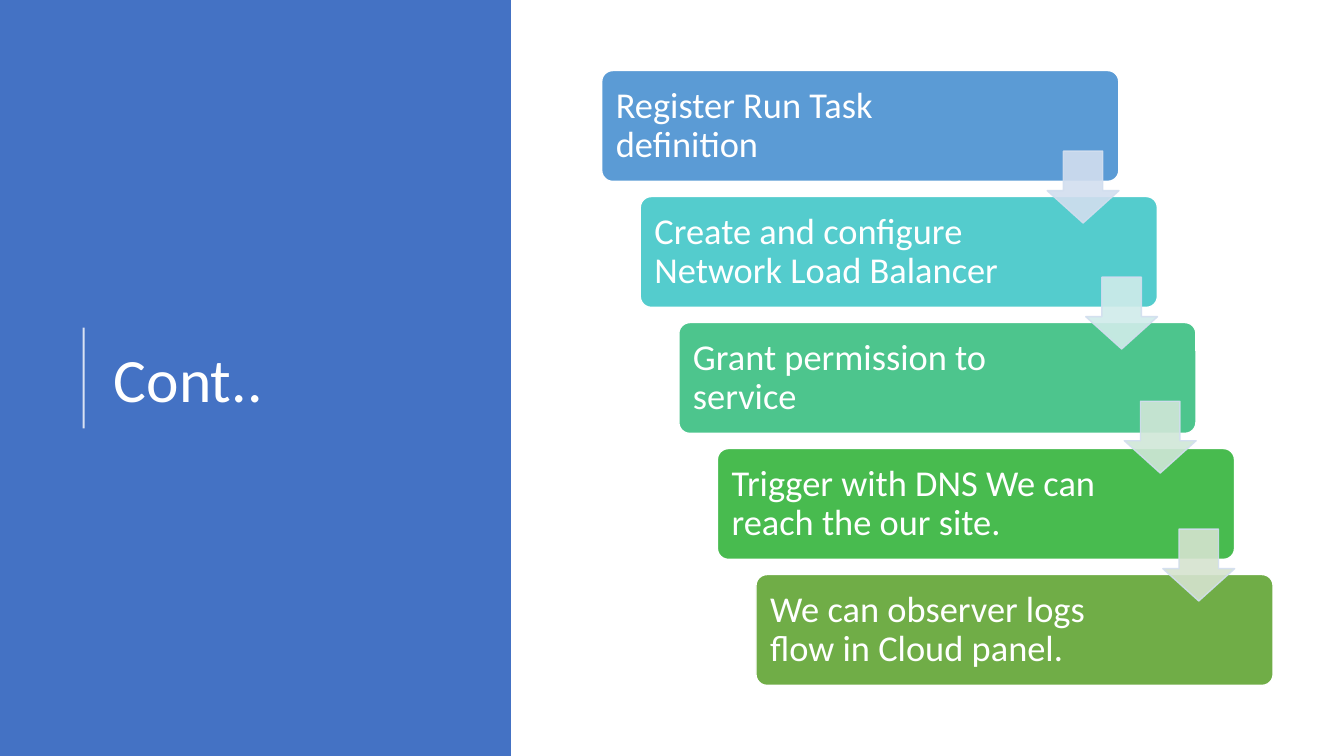
from lxml import etree
from pptx import Presentation
from pptx.dml.color import RGBColor
from pptx.enum.shapes import MSO_CONNECTOR, MSO_SHAPE
from pptx.enum.text import MSO_ANCHOR
from pptx.oxml.ns import qn
from pptx.util import Pt

RECTANGLE = MSO_SHAPE.RECTANGLE
ROUNDED = MSO_SHAPE.ROUNDED_RECTANGLE
DOWN_ARROW = MSO_SHAPE.DOWN_ARROW
STRAIGHT = MSO_CONNECTOR.STRAIGHT
MIDDLE = MSO_ANCHOR.MIDDLE

WHITE = "FFFFFF"
BLUE = "4472C4"
ARROW_LINE = "D2DEEF"

STEPS = [
    ("Register Run Task definition", "5B9BD5"),
    ("Create and configure Network Load Balancer", "54CCCD"),
    ("Grant permission to service", "4DC58D"),
    ("Trigger with DNS We can reach the our site.", "48BB4F"),
    ("We can observer logs flow in Cloud panel.", "70AD47"),
]
ARROWS = [(108, "D2DEEF"), (198, "D0ECEA"), (286.6, "D0E7D8"), (378, "D5E3CF")]
STEP_LEFT, STEP_TOP = 429.8, 50.4
SHIFT_X, SHIFT_Y = 27.55, 90
STEP_WIDTH, STEP_HEIGHT = 369.4, 79.2
ARROW_LEFT, ARROW_SIZE = 748, 51.3


def color(value):
    return RGBColor.from_string(value)


def set_opacity(fill_parent, percent):
    color_element = fill_parent.find(qn("a:solidFill"))[0]
    alpha = etree.SubElement(color_element, qn("a:alpha"))
    alpha.set("val", str(percent * 1000))


def add_block(slide, kind, box, fill, line=None, adjustments=(), opacity=None):
    shape = slide.shapes.add_shape(kind, *map(Pt, box))
    shape.shadow.inherit = False
    shape.fill.solid()
    shape.fill.fore_color.rgb = color(fill)
    for index, value in enumerate(adjustments):
        shape.adjustments[index] = value
    if line:
        shape.line.color.rgb = color(line)
        shape.line.width = Pt(1)
    else:
        shape.line.fill.background()
    if opacity:
        properties = shape._element.spPr
        set_opacity(properties, opacity)
        set_opacity(properties.find(qn("a:ln")), opacity)


def add_text(slide, text, box, size, inset):
    frame = slide.shapes.add_textbox(*map(Pt, box)).text_frame
    frame_format = {
        "word_wrap": True,
        "vertical_anchor": MIDDLE,
        "margin_left": Pt(inset),
        "margin_right": Pt(inset),
        "margin_top": Pt(inset),
        "margin_bottom": Pt(inset),
    }
    for name, value in frame_format.items():
        setattr(frame, name, value)
    paragraph = frame.paragraphs[0]
    paragraph.line_spacing = 0.9
    run = paragraph.add_run()
    run.text = text
    for name, value in {"name": "Calibri", "size": Pt(size)}.items():
        setattr(run.font, name, value)
    run.font.color.rgb = color(WHITE)


def add_rule(slide, start, end):
    connector = slide.shapes.add_connector(STRAIGHT, *map(Pt, start + end))
    connector.line.color.rgb = color(WHITE)
    connector.line.width = Pt(1.5)
    properties = connector._element.spPr
    set_opacity(properties.find(qn("a:ln")), 80)
    etree.SubElement(properties, qn("a:effectLst"))


def add_step(slide, index, text, fill):
    left = STEP_LEFT + index * SHIFT_X
    top = STEP_TOP + index * SHIFT_Y
    box = (left, top, STEP_WIDTH, STEP_HEIGHT)
    add_block(slide, ROUNDED, box, fill, WHITE, [0.1])
    add_text(slide, text, (left + 2.3, top + 2.3, 286, 74.5), 26, 7.8)


def add_arrow(slide, index, top, fill):
    box = (ARROW_LEFT + index * SHIFT_X, top, ARROW_SIZE, ARROW_SIZE)
    add_block(slide, DOWN_ARROW, box, fill, ARROW_LINE, [0.55, 0.45], 90)


def main():
    presentation = Presentation()
    presentation.slide_width = Pt(960)
    presentation.slide_height = Pt(540)
    slide = presentation.slides.add_slide(presentation.slide_layouts[6])
    add_block(slide, RECTANGLE, (0, 0, 365, 540), BLUE)
    add_text(slide, "Cont..", (74.2, 56.2, 265.7, 433.4), 44, 7.2)
    add_rule(slide, (59.8, 306), (59.8, 234))
    for index, (text, fill) in enumerate(STEPS):
        add_step(slide, index, text, fill)
    for index, (top, fill) in enumerate(ARROWS):
        add_arrow(slide, index, top, fill)
    presentation.save("out.pptx")


if __name__ == "__main__":
    main()
